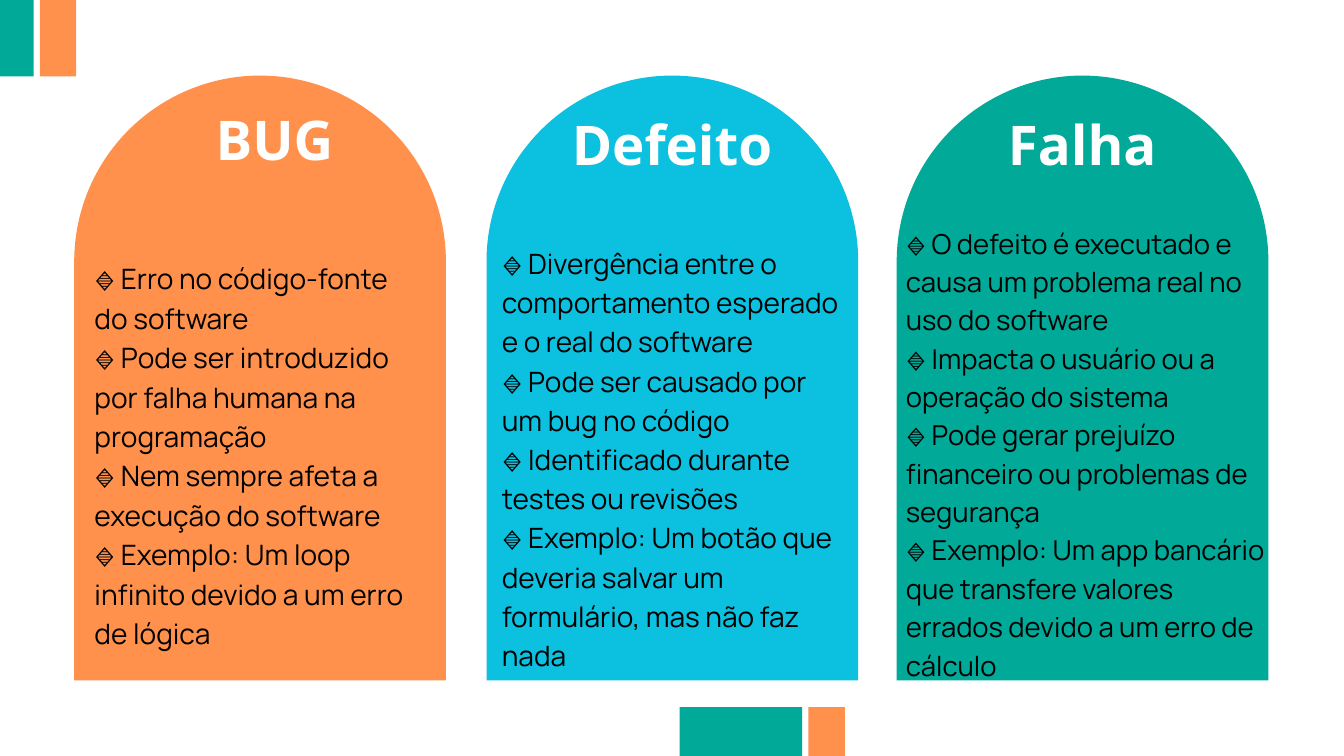
from typing import NamedTuple

from pptx import Presentation
from pptx.dml.color import RGBColor
from pptx.enum import shapes, text
from pptx.util import Pt

PX = 9525
GREEN, ORANGE, BLUE = "01A998", "FF914D", "0CC0DF"
WHITE, BLACK = "FFFFFF", "000000"
KIND = shapes.MSO_SHAPE


class Box(NamedTuple):
    x: int
    y: int
    w: int
    h: int

    def emu(self) -> list[int]:
        return [v * PX for v in self]


class Style(NamedTuple):
    font: str
    size: float
    lead: float
    color: str
    bold: bool = False
    align: text.PP_ALIGN = text.PP_ALIGN.LEFT


class Card(NamedTuple):
    x: int
    color: str
    title: str
    head: Box
    body: Box
    size: float
    lead: float
    items: list[str]


HEAD = Style("Open Sans", 58.6, 82, WHITE, True, text.PP_ALIGN.CENTER)

CARDS = [
    Card(106, ORANGE, "BUG", Box(304, 136, 176, 103),
         Box(135, 366, 472, 557), 30.1, 42.2, [
             "Erro no código-fonte do software",
             "Pode ser introduzido por falha humana na programação",
             "Nem sempre afeta a execução do software",
             "Exemplo: Um loop infinito devido a um erro de lógica"]),
    Card(695, BLUE, "Defeito", Box(813, 143, 294, 103),
         Box(717, 344, 489, 602), 30, 42, [
             "Divergência entre o comportamento esperado e o real do software",
             "Pode ser causado por um bug no código",
             "Identificado durante testes ou revisões",
             "Exemplo: Um botão que deveria salvar um formulário, "
             "mas não faz nada"]),
    Card(1281, GREEN, "Falha", Box(1436, 143, 220, 103),
         Box(1294, 316, 517, 656), 29.4, 41.1, [
             "O defeito é executado e causa um problema real no uso do software",
             "Impacta o usuário ou a operação do sistema",
             "Pode gerar prejuízo financeiro ou problemas de segurança",
             "Exemplo: Um app bancário que transfere valores errados "
             "devido a um erro de cálculo"]),
]


def rgb(color: str) -> RGBColor:
    return RGBColor.from_string(color)


def block(slide, kind: shapes.MSO_SHAPE, box: Box, color: str):
    shape = slide.shapes.add_shape(kind, *box.emu())
    shape.shadow.inherit = False
    shape.fill.solid()
    shape.fill.fore_color.rgb = rgb(color)
    shape.line.fill.background()
    return shape


def write(slide, box: Box, lines: list[str], style: Style,
          wrap: bool = True) -> None:
    frame = slide.shapes.add_textbox(*box.emu()).text_frame
    frame.word_wrap = wrap
    frame.margin_left = frame.margin_right = 0
    frame.margin_top = frame.margin_bottom = 0
    frame.text = "\n".join(lines)
    for para in frame.paragraphs:
        para.alignment = style.align
        para.line_spacing = Pt(style.lead)
        for run in para.runs:
            run.font.name = style.font
            run.font.size = Pt(style.size)
            run.font.bold = style.bold
            run.font.color.rgb = rgb(style.color)


def bars(slide, x: int, y: int) -> None:
    """Draw a wide green bar and a slim orange one beside it."""
    block(slide, KIND.RECTANGLE, Box(x, y, 175, 155), GREEN)
    block(slide, KIND.RECTANGLE, Box(x + 184, y, 52, 155), ORANGE)


def draw(slide, card: Card) -> None:
    arch = block(slide, KIND.ROUND_2_SAME_RECTANGLE,
                 Box(card.x, 108, 531, 864), card.color)
    arch.adjustments[0] = 0.5
    write(slide, card.head, [card.title], HEAD, wrap=False)
    write(slide, card.body, [f"🔹 {item}" for item in card.items],
          Style("Manrope", card.size, card.lead, BLACK))


def main() -> None:
    deck = Presentation()
    deck.slide_width, deck.slide_height = 1920 * PX, 1080 * PX
    slide = deck.slides.add_slide(deck.slide_layouts[6])
    bars(slide, -127, -46)
    bars(slide, 971, 1010)
    for card in CARDS:
        draw(slide, card)
    deck.save("out.pptx")


if __name__ == "__main__":
    main()
